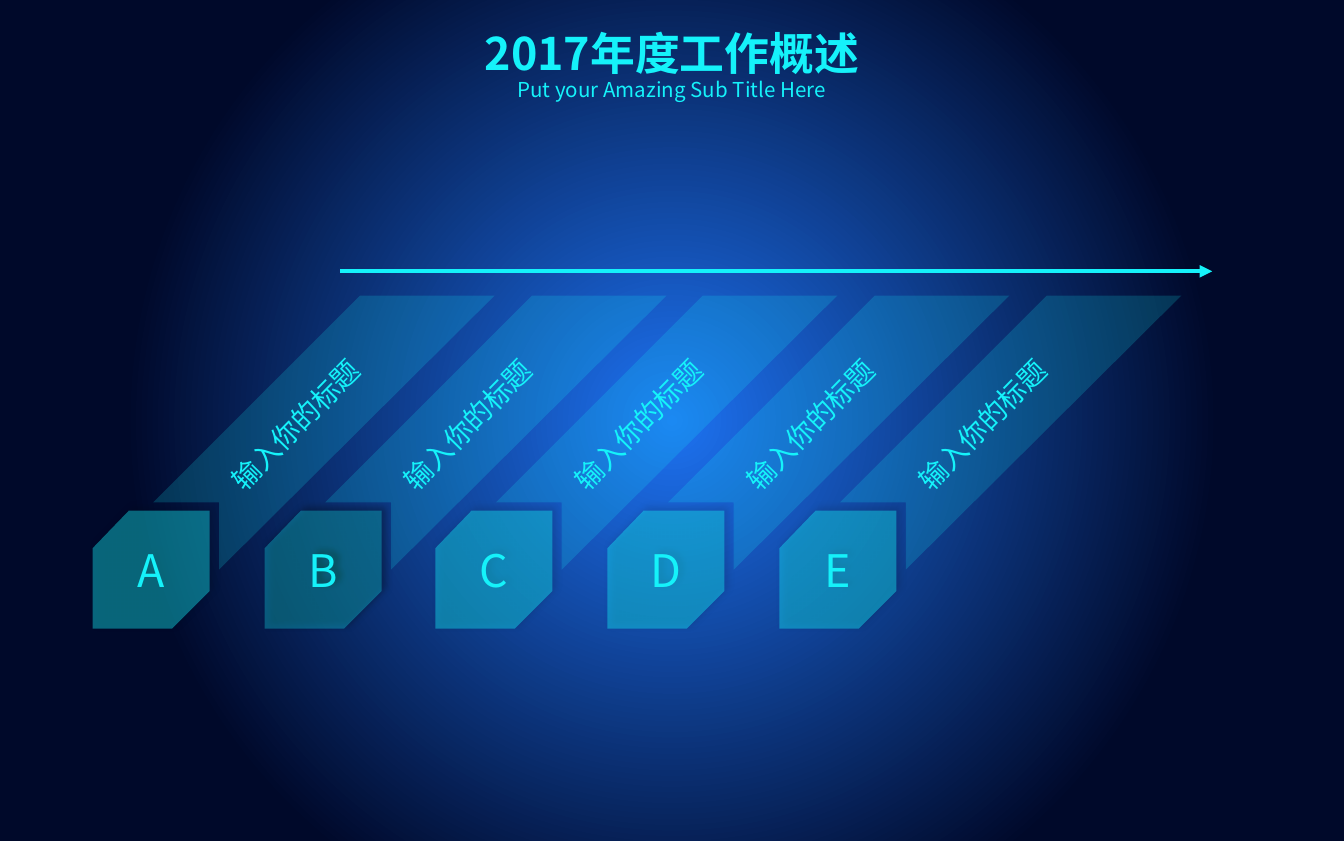
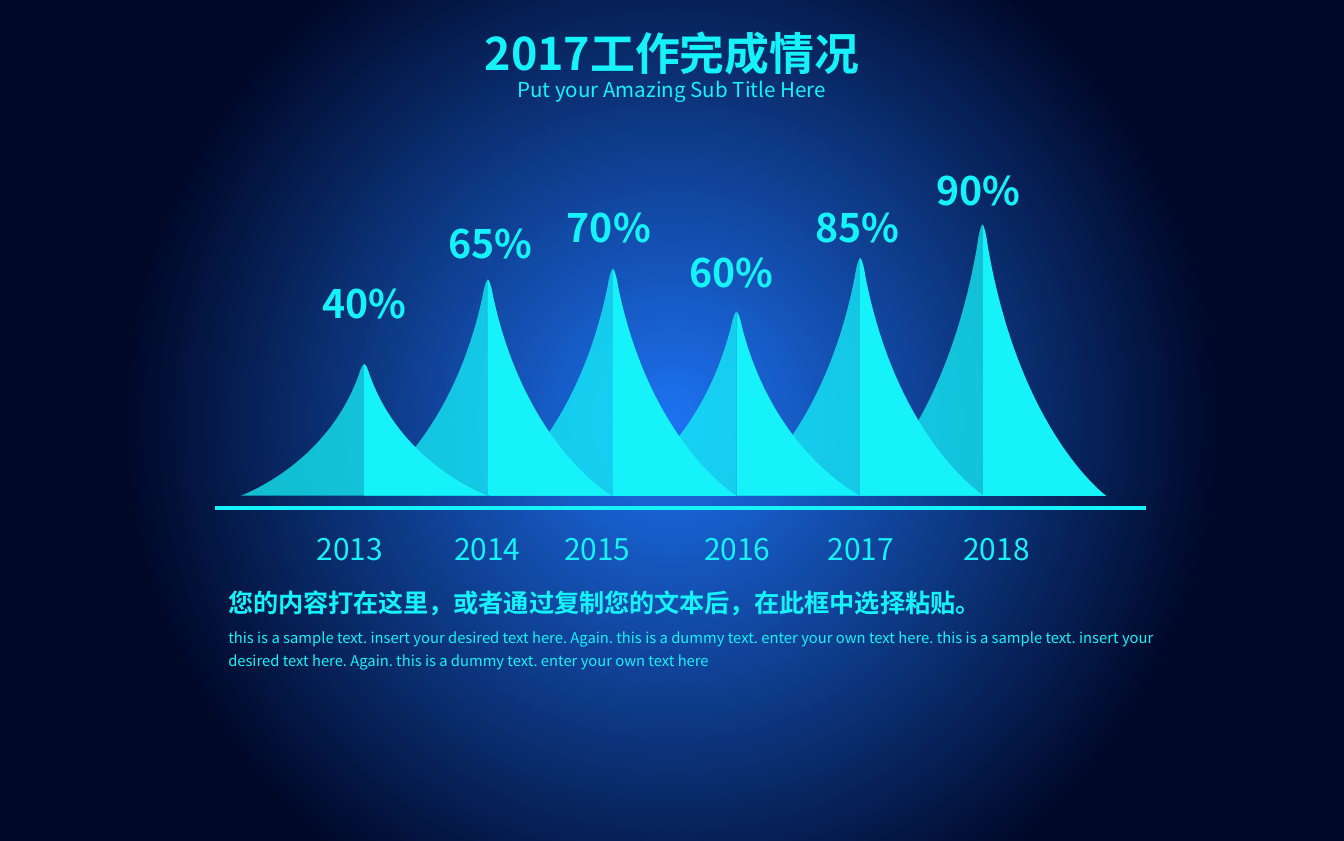
from dataclasses import dataclass
from lxml.etree import SubElement
from pptx import Presentation
from pptx.dml.color import RGBColor
from pptx.enum.shapes import MSO_CONNECTOR as Connector
from pptx.enum.text import MSO_ANCHOR as Anchor, MSO_AUTO_SIZE as AutoSize, PP_ALIGN as Align
from pptx.oxml.ns import qn
from pptx.util import Inches, Pt


@dataclass(frozen=True)
class Theme:
    font: str = "Noto Sans CJK SC"
    cyan: RGBColor = RGBColor(0x15, 0xF2, 0xFA)
    glow: RGBColor = RGBColor(0x1D, 0x72, 0xF1)
    night: RGBColor = RGBColor(0x00, 0x09, 0x2A)
    title: float = 24
    subtitle: float = 11
    letter: float = 24
    label: float = 15
    percent: float = 21
    year: float = 16
    heading: float = 13.5
    body: float = 7.9
    rule: float = 2.25


theme = Theme()


def write(box, text, size, bold=False, align=None, wrap=True, inset=None):
    frame = box.text_frame
    frame.word_wrap = wrap
    if inset is not None:
        frame.margin_left = frame.margin_right = Inches(inset[0])
        frame.margin_top = frame.margin_bottom = Inches(inset[1])
    para = frame.paragraphs[0]
    para.alignment = align
    span = para.add_run()
    span.text = text
    span.font.size = Pt(size)
    span.font.bold = bold
    span.font.name = theme.font
    span.font.color.rgb = theme.cyan
    SubElement(span.font._element, qn("a:ea"), typeface=theme.font)
    return para


def draw_outline(shapes, points, opacity):
    corners = [(Inches(x), Inches(y)) for x, y in points]
    builder = shapes.build_freeform(*corners[0], scale=1.0)
    builder.add_line_segments(corners[1:], close=True)
    shape = builder.convert_to_shape()
    shape.shadow.inherit = False
    shape.fill.solid()
    shape.fill.fore_color.rgb = theme.cyan
    shape.line.fill.background()
    if opacity < 100:
        color = shape.element.spPr.find(".//" + qn("a:srgbClr"))
        SubElement(color, qn("a:alpha"), val=str(opacity * 1000))
    return shape


deck = Presentation()
deck.slide_width = Inches(10)
deck.slide_height = Inches(6.26)

backdrop = deck.slide_master.background.fill
backdrop.gradient()
for stop, color, position in zip(backdrop.gradient_stops, (theme.glow, theme.night), (0, 0.69)):
    stop.color.rgb = color
    stop.position = position
gradient = deck.slide_master.element.find(".//" + qn("a:gradFill"))
gradient.remove(gradient.find(qn("a:lin")))
circle = SubElement(gradient, qn("a:path"), path="circle")
SubElement(circle, qn("a:fillToRect"), l="50000", t="50000", r="50000", b="50000")

pages = []
for title, start, end, level in [
    ("2017年度工作概述", 2.53, 9.02, 2.02),
    ("2017工作完成情况", 1.6, 8.53, 3.78),
]:
    page = deck.slides.add_slide(deck.slide_layouts[6])
    pages.append(page)
    for text, size, bold, left, top, width, height in [
        (title, theme.title, True, 2.05, 0.19, 5.9, 0.4),
        ("Put your Amazing Sub Title Here", theme.subtitle, False, 2.9, 0.57, 4.2, 0.18),
    ]:
        box = page.shapes.add_textbox(Inches(left), Inches(top), Inches(width), Inches(height))
        write(box, text, size, bold, Align.CENTER, inset=(0, 0))
        box.text_frame.auto_size = AutoSize.SHAPE_TO_FIT_TEXT
    rule = page.shapes.add_connector(
        Connector.STRAIGHT, Inches(start), Inches(level), Inches(end), Inches(level))
    rule.line.color.rgb = theme.cyan
    rule.line.width = Pt(theme.rule)
    SubElement(rule.element.spPr, qn("a:effectLst"))
    if page is pages[0]:
        SubElement(rule.line._get_or_add_ln(), qn("a:tailEnd"), type="triangle")

overview, progress = pages

band_outline = [(1.99, 2.2), (2.99, 2.2), (0.94, 4.24), (0.94, 3.74), (0.45, 3.74)]
tile_outline = [(0.27, 3.8), (0.87, 3.8), (0.87, 4.4), (0.59, 4.68), (0, 4.68), (0, 4.08)]
for letter, left in zip("ABCDE", (0.69, 1.97, 3.24, 4.52, 5.8)):
    group = overview.shapes.add_group_shape()
    draw_outline(group.shapes, [(left + x, y) for x, y in band_outline], 18)

    tile = draw_outline(
        group.shapes, [(left + x, y) for x, y in tile_outline], 30 if letter == "B" else 40)
    effects = tile.element.spPr.find(qn("a:effectLst"))
    shadow = SubElement(effects, qn("a:outerShdw"), blurRad=str(Pt(4)), dist=str(Pt(3)),
                        dir=str(315 * 60000), algn="bl", rotWithShape="0")
    shade = SubElement(shadow, qn("a:srgbClr"), val="000000")
    SubElement(shade, qn("a:alpha"), val="30000")
    write(tile, letter, theme.letter, align=Align.CENTER)
    tile.text_frame.vertical_anchor = Anchor.MIDDLE

    label = group.shapes.add_textbox(Inches(left + 0.71), Inches(2.8), Inches(1.96), Inches(0.35))
    label.rotation = 314.4
    write(label, "输入你的标题", theme.label)
    label.text_frame.auto_size = AutoSize.SHAPE_TO_FIT_TEXT

base, half_width = 3.69, 0.92
shoulder, toe, foot, tip = (0.04, 0.92), (half_width, 0), (0, 0), (0, 1)
half_peak = [shoulder, toe, foot, tip, shoulder]
curves = {0: [(0.28, 0.23), toe, toe], 3: [(0.01, 1), (0.03, 0.96), shoulder]}

peaks = [
    ("2013", "40%", 2.71, 2.71, 2.26, 2.32, 2.04),
    ("2014", "65%", 3.63, 2.08, 3.28, 3.26, 1.59),
    ("2015", "70%", 4.56, 2, 4.1, 4.14, 1.47),
    ("2016", "60%", 5.48, 2.32, 5.14, 5.05, 1.81),
    ("2017", "85%", 6.4, 1.92, 6.06, 5.99, 1.47),
    ("2018", "90%", 7.31, 1.67, 7.07, 6.89, 1.2),
]
for year, percent, apex, summit, year_left, percent_left, percent_top in peaks:
    rise = base - summit
    group = progress.shapes.add_group_shape()
    for side, opacity in ((-1, 75), (1, 100)):
        outline = [(apex + side * x, base - y * rise) for x, y in half_peak]
        half = draw_outline(group.shapes, outline, opacity)
        origin = half_width if side < 0 else 0
        edges = half.element.spPr.findall(".//" + qn("a:lnTo"))
        for index, controls in curves.items():
            contour = edges[index].getparent()
            curve = SubElement(contour, qn("a:cubicBezTo"))
            for x, y in controls:
                SubElement(curve, qn("a:pt"), x=str(Inches(origin + side * x)),
                           y=str(Inches((1 - y) * rise)))
            contour.replace(edges[index], curve)

    box = progress.shapes.add_textbox(Inches(year_left), Inches(3.9), Inches(0.72), Inches(0.37))
    write(box, year, theme.year, wrap=False)
    box.text_frame.auto_size = AutoSize.SHAPE_TO_FIT_TEXT
    box = progress.shapes.add_textbox(
        Inches(percent_left), Inches(percent_top), Inches(0.78), Inches(0.43))
    write(box, percent, theme.percent, True, Align.CENTER, False, (0.07, 0.04))
    box.text_frame.auto_size = AutoSize.SHAPE_TO_FIT_TEXT

summary = progress.shapes.add_group_shape()
sample = (
    "this is a sample text. insert your desired text here. Again. "
    "this is a dummy text. enter your own text here. "
    "this is a sample text. insert your desired text here. Again. "
    "this is a dummy text. enter your own text here"
)
body = summary.shapes.add_textbox(Inches(1.6), Inches(4.6), Inches(7.08), Inches(0.44))
para = write(body, sample, theme.body, align=Align.JUSTIFY)
para.line_spacing = Pt(12)
body.text_frame.auto_size = AutoSize.SHAPE_TO_FIT_TEXT
heading = summary.shapes.add_textbox(Inches(1.6), Inches(4.32), Inches(5.82), Inches(0.33))
write(heading, "您的内容打在这里，或者通过复制您的文本后，在此框中选择粘贴。",
      theme.heading, True, wrap=False)
heading.text_frame.auto_size = AutoSize.SHAPE_TO_FIT_TEXT

deck.save("out.pptx")
